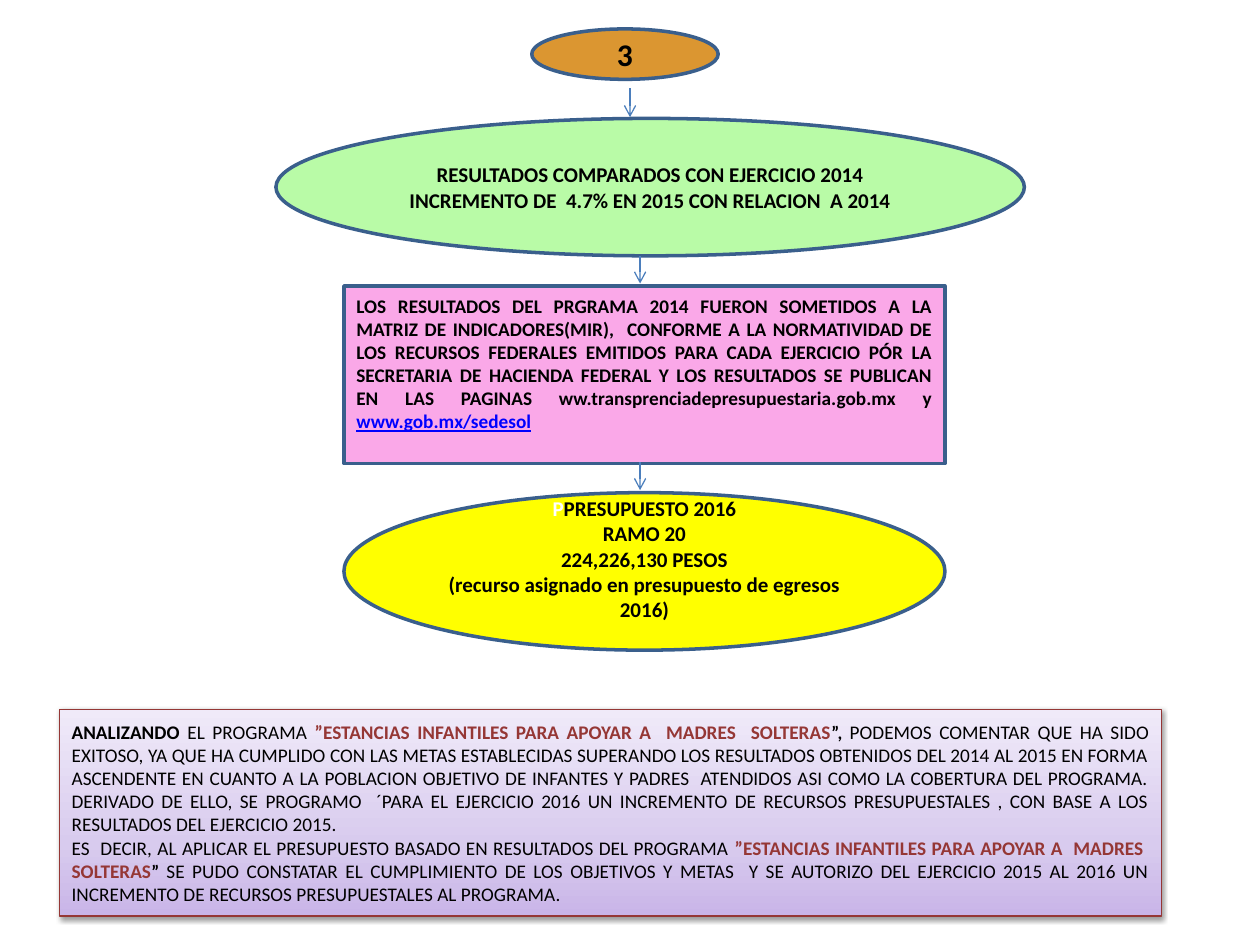
import copy
from dataclasses import dataclass

import lxml.etree
import pptx
import pptx.dml.color
import pptx.enum.shapes
import pptx.enum.text
import pptx.oxml.ns
import pptx.util

SHAPE = pptx.enum.shapes.MSO_SHAPE
ALIGN = pptx.enum.text.PP_ALIGN
qn = pptx.oxml.ns.qn


@dataclass(frozen=True)
class Theme:
    font: str = "Calibri"
    ink: str = "000000"
    white: str = "FFFFFF"
    link: str = "0000FF"
    red: str = "953735"
    edge: str = "3A5F8C"
    arrow: str = "4B7EBC"
    orange: str = "DB9631"
    green: str = "B9FBA7"
    pink: str = "FAA8E8"
    yellow: str = "FFFF00"
    fade: tuple = ((0, "C9B5E8"), (0.35, "D8CBEE"), (1, "F0EAF9"))
    head: float = 18
    main: float = 12
    body: float = 11
    quote: float = 10.5
    thick: float = 2
    thin: float = 0.75


T = Theme()
CELL = 0.1


def grid(count):
    return pptx.util.Inches(count * CELL)


def rgb(code):
    return pptx.dml.color.RGBColor.from_string(code)


def write(para, text, size=T.body, color=T.ink, bold=False, under=False):
    run = para.add_run()
    run.text = text
    font = run.font
    font.name, font.size, font.bold = T.font, pptx.util.Pt(size), bold
    font.color.rgb = rgb(color)
    if under:
        font.underline = True


def fill_text(shape, paras, align=ALIGN.CENTER, foot=0.5, **base):
    frame = shape.text_frame
    frame.word_wrap = True
    frame.vertical_anchor = pptx.enum.text.MSO_ANCHOR.MIDDLE
    frame.margin_bottom = grid(foot)
    for index, spans in enumerate(paras):
        para = frame.add_paragraph() if index else frame.paragraphs[0]
        para.alignment = align
        for text, style in spans:
            write(para, text, **{**base, **style})


def add_box(slide, kind, cells, fill=None, edge=T.edge, width=T.thick):
    shape = slide.shapes.add_shape(kind, *map(grid, cells))
    shape.shadow.inherit = False
    if fill:
        shape.fill.solid()
        shape.fill.fore_color.rgb = rgb(fill)
    shape.line.color.rgb = rgb(edge)
    shape.line.width = pptx.util.Pt(width)
    return shape


def add_arrow(slide, col, top, end):
    line = slide.shapes.add_connector(
        pptx.enum.shapes.MSO_CONNECTOR.STRAIGHT,
        grid(col), grid(top), grid(col), grid(end))
    line.line.color.rgb = rgb(T.arrow)
    line.line.width = pptx.util.Pt(T.thin)
    props = line.element.spPr
    lxml.etree.SubElement(props.find(qn("a:ln")), qn("a:tailEnd"), type="arrow")
    lxml.etree.SubElement(props, qn("a:effectLst"))


def add_fade(shape):
    shape.fill.gradient()
    shape.fill.gradient_angle = 90
    stops = shape.element.spPr.find(qn("a:gradFill")).find(qn("a:gsLst"))
    stops.append(copy.deepcopy(stops[0]))
    for stop, (place, color) in zip(shape.fill.gradient_stops, T.fade):
        stop.position = place
        stop.color.rgb = rgb(color)


def add_shade(shape):
    effects = shape.element.spPr.find(qn("a:effectLst"))
    shade = lxml.etree.SubElement(
        effects, qn("a:outerShdw"), blurRad=str(pptx.util.Pt(3.1)),
        dist=str(pptx.util.Pt(1.6)), dir="5400000", rotWithShape="0")
    color = lxml.etree.SubElement(shade, qn("a:srgbClr"), val=T.ink)
    lxml.etree.SubElement(color, qn("a:alpha"), val="38000")


def add_flow(slide):
    badge = add_box(slide, SHAPE.OVAL, (42.2, 2.3, 14.8, 4), T.orange)
    fill_text(badge, [[("3", {})]], size=T.head, bold=True)

    growth = add_box(slide, SHAPE.OVAL, (21.9, 9.4, 59.4, 10.9), T.green)
    fill_text(growth, [
        [("RESULTADOS COMPARADOS CON EJERCICIO 2014", {})],
        [("INCREMENTO DE  4.7% EN 2015 CON RELACION  A 2014", {})],
    ], size=T.main, bold=True)

    review = add_box(slide, SHAPE.RECTANGLE, (27.3, 22.7, 47.7, 14.1), T.pink)
    fill_text(review, [[
        ("LOS RESULTADOS DEL PRGRAMA 2014 FUERON SOMETIDOS A LA MATRIZ DE "
         "INDICADORES(MIR),  CONFORME A LA NORMATIVIDAD DE LOS RECURSOS "
         "FEDERALES EMITIDOS PARA CADA EJERCICIO PÓR LA SECRETARIA DE "
         "HACIENDA FEDERAL Y LOS RESULTADOS SE PUBLICAN EN LAS PAGINAS "
         "ww.transprenciadepresupuestaria.gob.mx y ", {}),
        ("www.gob.mx/sedesol", dict(color=T.link, under=True)),
    ]], ALIGN.JUSTIFY, foot=2.3, bold=True)

    budget = add_box(slide, SHAPE.OVAL, (27.3, 39.1, 47.7, 12.5), T.yellow)
    fill_text(budget, [
        [("P", dict(color=T.white)), ("PRESUPUESTO 2016", {})],
        [("RAMO 20", {})],
        [("224,226,130 PESOS", {})],
        [("(recurso asignado en presupuesto de egresos 2016)", {})],
    ], foot=2.5, size=T.main, bold=True)

    for col, top, end in ((50, 7, 9.3), (50.8, 20.3, 22.5), (50.8, 36.7, 38.9)):
        add_arrow(slide, col, top, end)


def add_notice(slide):
    name = ("”ESTANCIAS INFANTILES PARA APOYAR A  MADRES  SOLTERAS",
            dict(color=T.red, bold=True))
    quote = dict(size=T.quote, bold=True)
    box = add_box(slide, SHAPE.RECTANGLE, (4.7, 56.3, 87.5, 16.4),
                  edge=T.red, width=T.thin)
    add_fade(box)
    add_shade(box)
    fill_text(box, [
        [("ANALIZANDO", dict(bold=True)), (" EL PROGRAMA ", {}), name,
         ("”,", quote),
         (" PODEMOS COMENTAR QUE HA SIDO EXITOSO, YA QUE HA CUMPLIDO CON LAS "
          "METAS ESTABLECIDAS SUPERANDO LOS RESULTADOS OBTENIDOS DEL 2014 AL "
          "2015 EN FORMA ASCENDENTE EN CUANTO A LA POBLACION OBJETIVO DE "
          "INFANTES Y PADRES  ATENDIDOS ASI COMO LA COBERTURA DEL PROGRAMA. "
          "DERIVADO DE ELLO, SE PROGRAMO  ´PARA EL EJERCICIO 2016 UN "
          "INCREMENTO DE RECURSOS PRESUPUESTALES , CON BASE A LOS RESULTADOS "
          "DEL EJERCICIO 2015.", {})],
        [("ES  DECIR, AL APLICAR EL PRESUPUESTO BASADO EN RESULTADOS DEL "
          "PROGRAMA ", {}), name, ("” ", quote),
         ("SE PUDO CONSTATAR EL CUMPLIMIENTO DE LOS OBJETIVOS Y METAS  Y SE "
          "AUTORIZO DEL EJERCICIO 2015 AL 2016 UN INCREMENTO DE RECURSOS "
          "PRESUPUESTALES AL PROGRAMA.", {})],
    ], ALIGN.JUSTIFY)


def main():
    deck = pptx.Presentation()
    deck.slide_width, deck.slide_height = grid(100), grid(75)
    slide = deck.slides.add_slide(deck.slide_layouts[6])
    add_flow(slide)
    add_notice(slide)
    deck.save("out.pptx")


if __name__ == "__main__":
    main()
